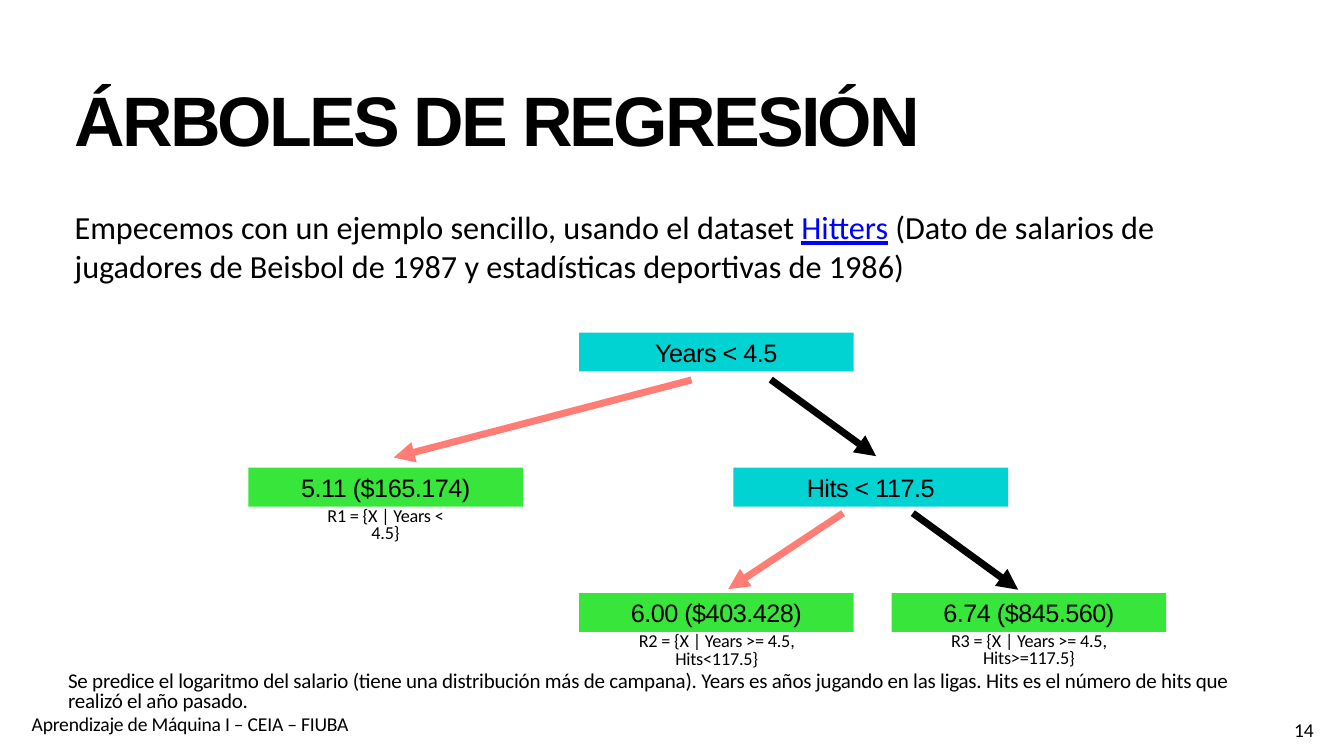
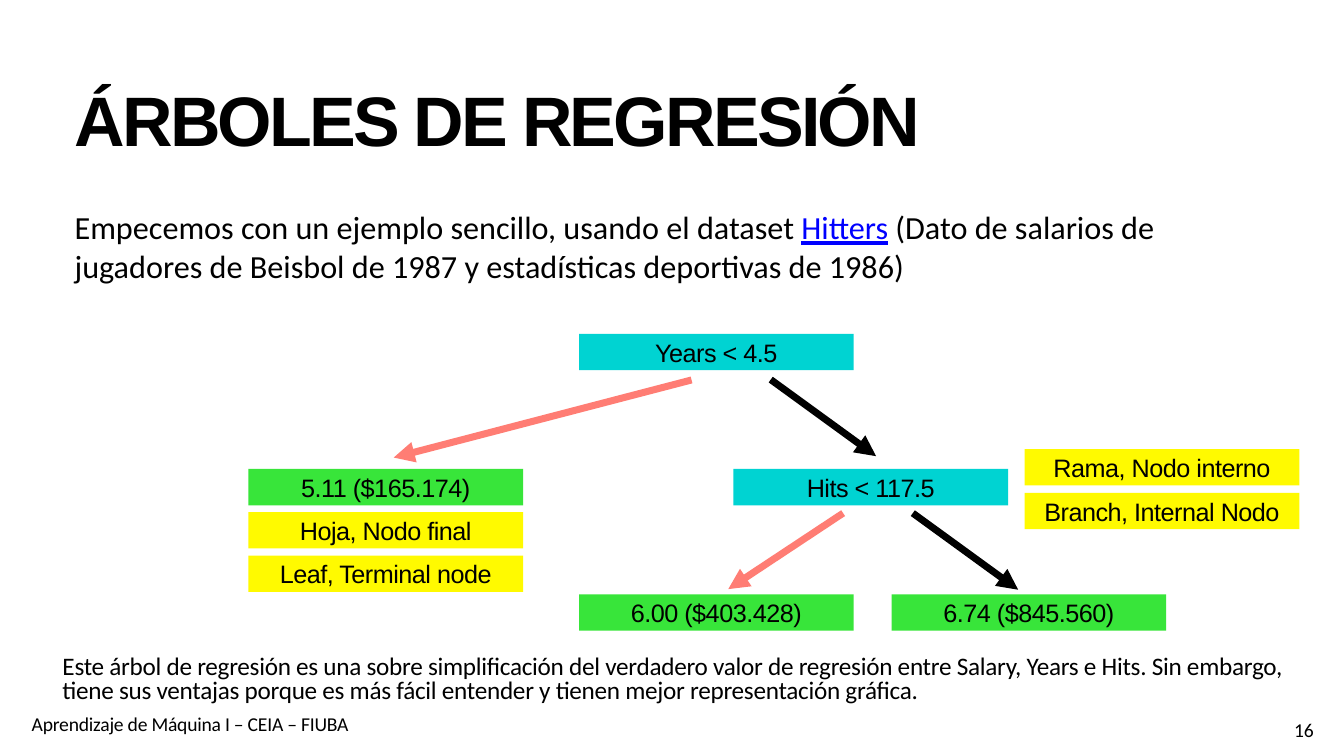
from lxml import etree
from pptx import Presentation
from pptx.dml.color import RGBColor
from pptx.enum import shapes, text
from pptx.oxml import ns
from pptx.util import Cm, Pt

BLACK, BLUE = "000000", "0000FF"
CYAN, GREEN, YELLOW, CORAL = "00D3D2", "38E53A", "FFFA00", "FF7D74"
HEADING_FONT, BODY_FONT = "Arial", "Calibri"
NODE_WIDTH = 13.84
LABEL_PITCH = 2.2

# Tree: text, left, vertical centre, fill (cm)
NODES = [
    ("Years < 4.5", 29.18, 17.74, CYAN),
    ("Hits < 117.5", 36.96, 24.55, CYAN),
    ("6.74 ($845.560)", 44.93, 30.87, GREEN),
    ("6.00 ($403.428)", 29.18, 30.87, GREEN),
    ("5.11 ($165.174)", 12.52, 24.55, GREEN),
]
BRANCHES = [
    ((34.85, 19.15), (19.84, 23.06), CORAL),
    ((38.84, 19.13), (44.15, 22.99), BLACK),
    ((46.0, 25.86), (51.31, 29.72), BLACK),
    ((42.49, 25.86), (36.7, 29.69), CORAL),
]
REGIONS = [
    ("R1 = {X | Years < 4.5}", 15.77, 25.76, 7.32),
    ("R2 = {X | Years >= 4.5, Hits<117.5}", 30.33, 32.08, 11.58),
    ("R3 = {X | Years >= 4.5, Hits>=117.5}", 45.85, 32.05, 12.01),
]
# Yellow labels: left, centre of the first one, texts
LABELS = [
    (12.52, 26.72, ("Hoja, Nodo final", "Leaf, Terminal node")),
    (51.64, 23.55, ("Rama, Nodo interno", "Branch, Internal Nodo")),
]


def color(value):
    return RGBColor.from_string(value)


class TreeDeck:
    def __init__(self):
        self.deck = Presentation()
        self.deck.slide_width, self.deck.slide_height = Cm(67.73), Cm(38.1)
        self.page = None

    def place(self, box, left, top, width, height):
        box.left, box.top, box.width, box.height = map(Cm, (left, top, width, height))

    def frame(self, box, anchor=text.MSO_ANCHOR.TOP, grow=False, wrap=True, inset=0.15):
        frame = box.text_frame
        frame.word_wrap = wrap
        frame.auto_size = (text.MSO_AUTO_SIZE.SHAPE_TO_FIT_TEXT if grow
                           else text.MSO_AUTO_SIZE.NONE)
        frame.vertical_anchor = anchor
        frame.margin_left = frame.margin_right = Cm(inset)
        frame.margin_top = frame.margin_bottom = Cm(min(inset, 0.15))
        return frame

    def add_text(self, frame, spans, size, font=BODY_FONT, center=False,
                 spacing=1.0, tracking=0, bold=False):
        para = frame.paragraphs[0]
        para.alignment = text.PP_ALIGN.CENTER if center else text.PP_ALIGN.LEFT
        para.line_spacing = spacing
        para.space_before = Pt(0)
        for words, ink, underline in spans:
            span = para.add_run()
            span.text = words
            span.font.name, span.font.size = font, Pt(size)
            span.font.bold, span.font.underline = bold, underline
            span.font.color.rgb = color(ink)
            if tracking:
                span._r.get_or_add_rPr().set("spc", str(round(tracking * 100)))
        return para

    def start(self, title, intro, footer, number):
        self.page = self.deck.slides.add_slide(self.deck.slide_layouts[1])
        heading, body = self.page.placeholders
        self.place(heading, 3.61, 4.5, 60.76, 4.93)
        self.add_text(self.frame(heading), [(title, BLACK, False)], 100,
                      HEADING_FONT, spacing=0.8, tracking=-4, bold=True)
        self.place(body, 3.61, 10.31, 60.76, 26.49)
        para = self.add_text(self.frame(body), intro, 46)
        settings = para._p.get_or_add_pPr()
        settings.set("marL", "0")
        settings.set("indent", "0")
        etree.SubElement(settings, ns.qn("a:buNone"))
        self.note(footer, 1.35, 35.94, 21.13, 1.3, 28, inset=0.25)
        self.note(number, 64.14, 36.27, 3.15, 1.4, 28, center=True, inset=0.25)

    def note(self, words, left, top, width, height, size, center=False,
             tracking=-0.3, **layout):
        box = self.page.shapes.add_textbox(*map(Cm, (left, top, width, height)))
        self.add_text(self.frame(box, **layout), [(words, BLACK, False)], size,
                      center=center, spacing=0.8, tracking=tracking)

    def caption(self, words, left, top, width, height, size, **style):
        self.note(words, left, top, width, height, size,
                  anchor=text.MSO_ANCHOR.MIDDLE, grow=True, **style)

    def node(self, words, left, middle, fill, height=1.83):
        box = self.page.shapes.add_shape(
            shapes.MSO_SHAPE.RECTANGLE, Cm(left), Cm(middle - height / 2),
            Cm(NODE_WIDTH), Cm(height))
        box.shadow.inherit = False
        box.fill.solid()
        box.fill.fore_color.rgb = color(fill)
        box.line.fill.background()
        self.add_text(self.frame(box, text.MSO_ANCHOR.MIDDLE, grow=True),
                      [(words, BLACK, False)], 36, HEADING_FONT, center=True, tracking=-0.7)

    def arrow(self, start, end, ink):
        line = self.page.shapes.add_connector(
            shapes.MSO_CONNECTOR.STRAIGHT, *map(Cm, start + end))
        line.line.color.rgb = color(ink)
        line.line.width = Pt(10)
        etree.SubElement(line.line._get_or_add_ln(), ns.qn("a:tailEnd"), type="triangle")
        etree.SubElement(line._element.spPr, ns.qn("a:effectLst"))

    def tree(self, node_height):
        for node in NODES:
            self.node(*node, height=node_height)
        for branch in BRANCHES:
            self.arrow(*branch)


def main():
    show = TreeDeck()
    title = "ÁRBOLES DE REGRESIÓN"
    footer = "Aprendizaje de Máquina I – CEIA – FIUBA"
    intro = [
        ("Empecemos con un ejemplo sencillo, usando el dataset ", BLACK, False),
        ("Hitters", BLUE, True),
        (" (Dato de salarios de jugadores de Beisbol de 1987 y estadísticas "
         "deportivas de 1986)", BLACK, False),
    ]

    # Tree with its regions
    show.start(title, intro, footer, "14")
    show.tree(1.96)
    show.caption("Se predice el logaritmo del salario (tiene una distribución más de "
                 "campana). Years es años jugando en las ligas. Hits es el número de "
                 "hits que realizó el año pasado.", 3.28, 33.73, 61.19, 2.34, 30)
    for words, left, top, width in REGIONS:
        show.caption(words, left, top, width, 1.5, 26, center=True, wrap=False)

    # Tree with the names of its parts
    show.start(title, intro, footer, "16")
    show.tree(1.83)
    for left, middle, names in LABELS:
        for row, name in enumerate(names):
            show.node(name, left, middle + row * LABEL_PITCH, YELLOW)
    show.caption("Este árbol de regresión es una sobre simplificación del verdadero valor "
                 "de regresión entre Salary, Years e Hits. Sin embargo, tiene sus ventajas "
                 "porque es más fácil entender y tienen mejor representación gráfica.",
                 3.0, 32.92, 61.93, 2.74, 36, tracking=-0.4)

    show.deck.save("out.pptx")


if __name__ == "__main__":
    main()
